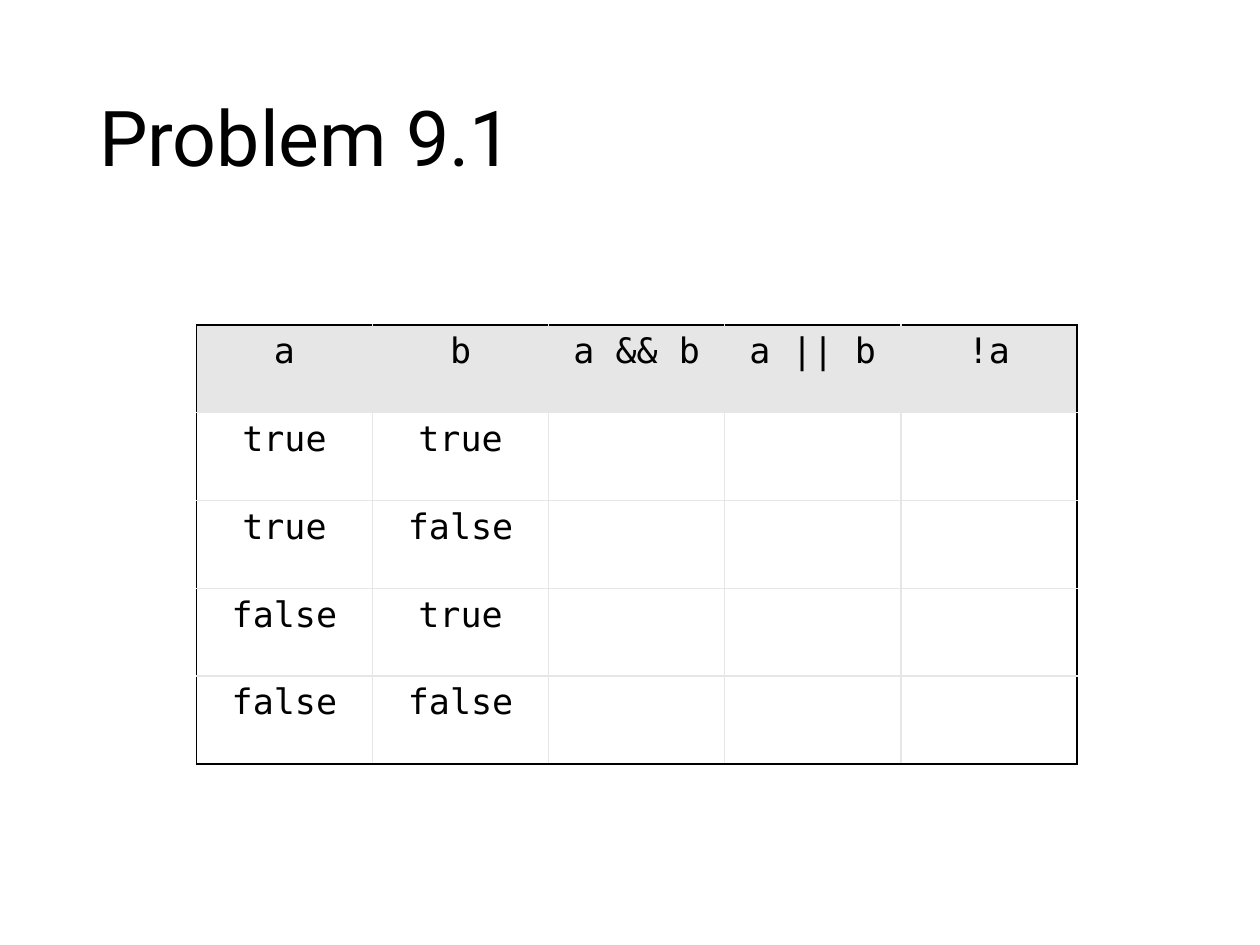
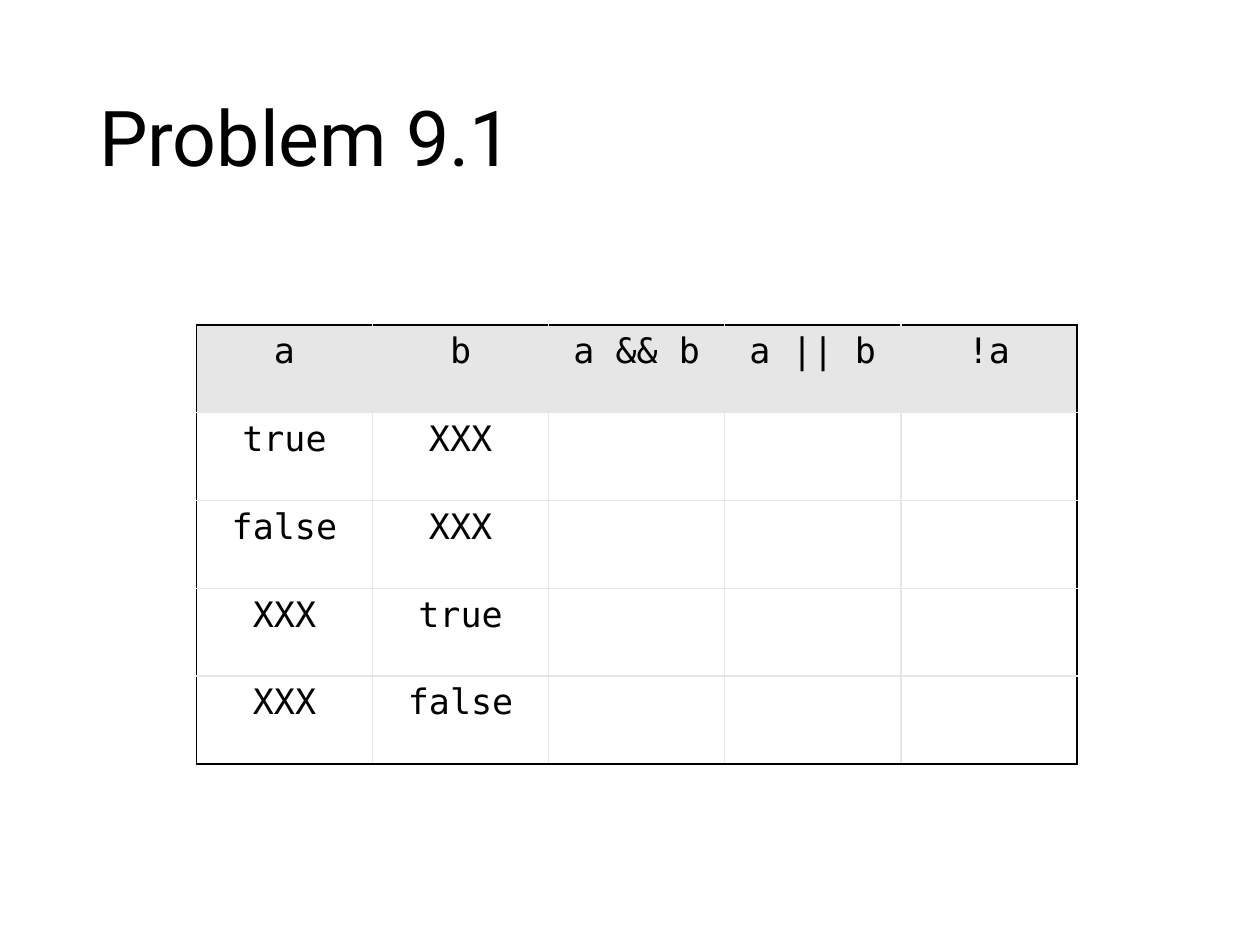
from dataclasses import dataclass

import pptx
import pptx.dml.color
import pptx.enum.text
import pptx.oxml.ns
import pptx.util
from lxml import etree
from pptx.util import Cm


@dataclass(frozen=True)
class Theme:
    """Hold the colours, fonts and sizes that the slides share."""
    ink: str = "000000"
    grey: str = "E7E6E6"
    title_font: str = "Roboto"
    code_font: str = "DejaVu Sans Mono"
    title_size: int = 44
    code_size: int = 20
    border: float = 0.96


THEME = Theme()
ALIGN = pptx.enum.text.PP_ALIGN
ANCHOR = pptx.enum.text.MSO_ANCHOR
HEADINGS = ("a", "b", "a && b", "a || b", "!a")
PROBLEMS = (
    (("true", "true"), ("true", "false"), ("false", "true"), ("false", "false")),
    (("true", "XXX"), ("false", "XXX"), ("XXX", "true"), ("XXX", "false")),
)


def write(tf, text, font, size, align=ALIGN.LEFT, line_spacing=1.0):
    """Write one formatted paragraph into a text frame."""
    p = tf.paragraphs[0]
    p.alignment = align
    p.line_spacing = line_spacing
    r = p.add_run()
    r.text = text
    r.font.name = font
    r.font.size = pptx.util.Pt(size)
    r.font.bold = False
    r.font.color.rgb = pptx.dml.color.RGBColor.from_string(THEME.ink)


def add_title(slide, text):
    """Add the slide title."""
    sp = slide.shapes.add_textbox(Cm(1.75), Cm(1.01), Cm(21.9), Cm(3.68))
    tf = sp.text_frame
    tf.word_wrap = True
    tf.vertical_anchor = ANCHOR.MIDDLE
    write(tf, text, THEME.title_font, THEME.title_size, line_spacing=0.9)


def set_borders(cell, outer):
    """Draw the cell borders, dark on the outer sides and grey inside."""
    tc_pr = cell._tc.get_or_add_tcPr()
    width = str(int(pptx.util.Pt(THEME.border)))
    for side in "LRTB":
        ln = etree.SubElement(tc_pr, pptx.oxml.ns.qn(f"a:ln{side}"), w=width)
        fill = etree.SubElement(ln, pptx.oxml.ns.qn("a:solidFill"))
        colour = THEME.ink if side in outer else THEME.grey
        etree.SubElement(fill, pptx.oxml.ns.qn("a:srgbClr"), val=colour)


def outer_sides(row, col, rows, cols):
    """Name the sides of a cell that lie on the table's edge."""
    edges = {"L": col == 0, "R": col == cols - 1, "T": row == 0, "B": row == rows - 1}
    return [side for side, on_edge in edges.items() if on_edge]


def add_truth_table(slide, inputs):
    """Add a truth table with its result columns left open."""
    rows, cols = len(inputs) + 1, len(HEADINGS)
    frame = slide.shapes.add_table(rows, cols, Cm(3.96), Cm(6.55),
                                   Cm(3.55) * cols, Cm(1.77) * rows)
    table = frame.table
    table.first_row = False
    table.horz_banding = False
    for i, values in enumerate((HEADINGS, *inputs)):
        for j in range(cols):
            cell = table.cell(i, j)
            set_borders(cell, outer_sides(i, j, rows, cols))
            if i == 0:
                cell.fill.solid()
                cell.fill.fore_color.rgb = pptx.dml.color.RGBColor.from_string(THEME.grey)
            else:
                cell.fill.background()
            if j < len(values):
                write(cell.text_frame, values[j], THEME.code_font, THEME.code_size,
                      align=ALIGN.CENTER)


def main():
    """Build and save the presentation."""
    prs = pptx.Presentation()
    prs.slide_width, prs.slide_height = Cm(25.4), Cm(19.05)
    for inputs in PROBLEMS:
        slide = prs.slides.add_slide(prs.slide_layouts[6])
        add_title(slide, "Problem 9.1")
        add_truth_table(slide, inputs)
    prs.save("out.pptx")


if __name__ == "__main__":
    main()
